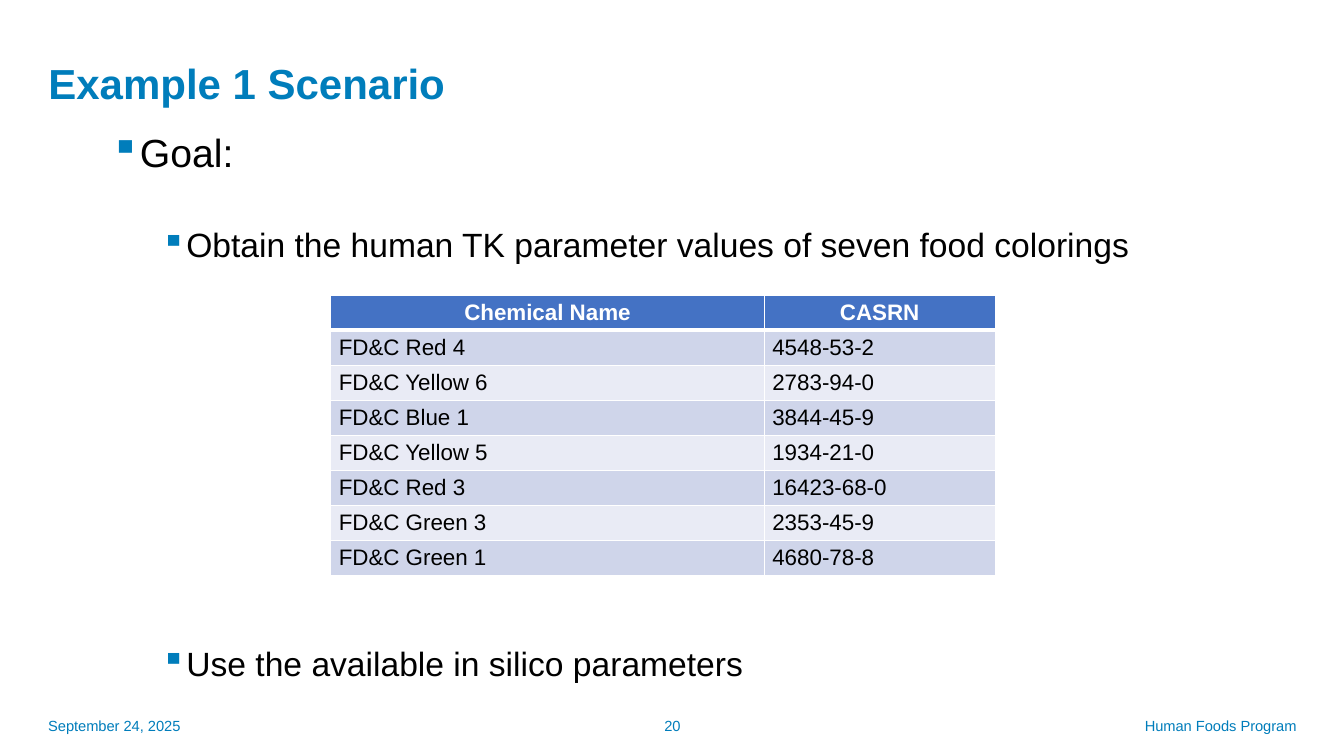
import lxml.etree
import pptx
import pptx.dml.color
import pptx.enum.text
import pptx.oxml.ns
import pptx.util

Inches, Pt = pptx.util.Inches, pptx.util.Pt
PP_ALIGN = pptx.enum.text.PP_ALIGN
MIDDLE = pptx.enum.text.MSO_ANCHOR.MIDDLE

# Content
TITLE = "Example 1 Scenario"
# text, size, left indent, level, space before
GOALS = [
    ("Goal:", 28, 0.25, 0, 0),
    ("Obtain the human TK parameter values of seven food colorings", 24, 0.75, 1, 41),
    ("Use the available in silico parameters", 24, 0.75, 1, 276),
]
CHEMICALS = [
    ("Chemical Name", "CASRN"),
    ("FD&C Red 4", "4548-53-2"),
    ("FD&C Yellow 6", "2783-94-0"),
    ("FD&C Blue 1", "3844-45-9"),
    ("FD&C Yellow 5", "1934-21-0"),
    ("FD&C Red 3", "16423-68-0"),
    ("FD&C Green 3", "2353-45-9"),
    ("FD&C Green 1", "4680-78-8"),
]
# text, left, width, alignment
FOOTERS = [
    ("September 24, 2025", 0.38, 3, PP_ALIGN.LEFT),
    ("20", 5.17, 3, PP_ALIGN.CENTER),
    ("Human Foods Program", 8.46, 4.5, PP_ALIGN.RIGHT),
]
COLORS = {"accent": "007DBB", "text": "000000", "white": "FFFFFF",
          "header": "4472C4", "odd": "CFD5EA", "even": "E9EBF5"}
COL_WIDTHS = (4.3, 2.29)
TABLE_LEFT, TABLE_TOP, TABLE_HEIGHT = 3.28, 2.93, 2.78


def rgb(name):
    return pptx.dml.color.RGBColor.from_string(COLORS[name])


def set_font(p, color, **values):
    for r in p.runs:
        r.font.color.rgb = rgb(color)
        for name, value in {"name": "Arial", "bold": False, **values}.items():
            setattr(r.font, name, value)


def add_child(parent, tag, **attributes):
    return lxml.etree.SubElement(parent, pptx.oxml.ns.qn(tag), attributes)


def add_bullet(p, indent):
    pPr = p._p.get_or_add_pPr()
    pPr.set("marL", str(Inches(indent)))
    pPr.set("indent", str(Inches(-0.25)))
    add_child(add_child(pPr, "a:buClr"), "a:srgbClr", val=COLORS["accent"])
    add_child(pPr, "a:buChar", char="▪")


def add_borders(cell, widths):
    tcPr = cell._tc.get_or_add_tcPr()
    for side, width in widths.items():
        line = add_child(tcPr, f"a:ln{side}", w=str(Pt(width)))
        add_child(add_child(line, "a:solidFill"), "a:srgbClr", val=COLORS["white"])


prs = pptx.Presentation()
prs.slide_width, prs.slide_height = Inches(13.33), Inches(7.5)
s = prs.slides.add_slide(prs.slide_layouts[5])

# Title
title = s.shapes.title
title.left, title.top, title.width, title.height = map(Inches, (0.38, 0.55, 11.5, 0.6))
tf = title.text_frame
tf.text = TITLE
tf.vertical_anchor = MIDDLE
p = tf.paragraphs[0]
p.alignment, p.line_spacing = PP_ALIGN.LEFT, 0.9
set_font(p, "accent", size=Pt(30), bold=True)

# Goals
tf = s.shapes.add_textbox(*map(Inches, (1, 1.31, 11.15, 5.43))).text_frame
tf.word_wrap = True
for i, (text, size, indent, level, before) in enumerate(GOALS):
    p = tf.add_paragraph() if i else tf.paragraphs[0]
    p.text, p.level, p.line_spacing = text, level, 0.8
    if before:
        p.space_before = Pt(before)
    add_bullet(p, indent)
    set_font(p, "text", size=Pt(size))

# Chemical table
table = s.shapes.add_table(
    len(CHEMICALS), len(COL_WIDTHS), Inches(TABLE_LEFT), Inches(TABLE_TOP),
    Inches(sum(COL_WIDTHS)), Inches(TABLE_HEIGHT)).table
for column, width in zip(table.columns, COL_WIDTHS):
    column.width = Inches(width)
for i, row in enumerate(CHEMICALS):
    header = i == 0
    fill = "header" if header else "odd" if i % 2 else "even"
    for j, text in enumerate(row):
        cell = table.cell(i, j)
        cell.text = text
        cell.vertical_anchor = MIDDLE
        cell.margin_left = cell.margin_right = Inches(0.08)
        cell.margin_top = cell.margin_bottom = Inches(0.02)
        add_borders(cell, {"L": 1, "R": 1, "T": 3 if i == 1 else 1, "B": 3 if header else 1})
        cell.fill.solid()
        cell.fill.fore_color.rgb = rgb(fill)
        p = cell.text_frame.paragraphs[0]
        p.alignment = PP_ALIGN.CENTER if header else PP_ALIGN.LEFT
        set_font(p, "white" if header else "text", size=Pt(16), bold=header)

# Footers
for text, left, width, align in FOOTERS:
    tf = s.shapes.add_textbox(*map(Inches, (left, 7, width, 0.4))).text_frame
    tf.word_wrap = True
    tf.vertical_anchor = MIDDLE
    p = tf.paragraphs[0]
    p.text, p.alignment = text, align
    set_font(p, "accent", size=Pt(10.5))

prs.save("out.pptx")
